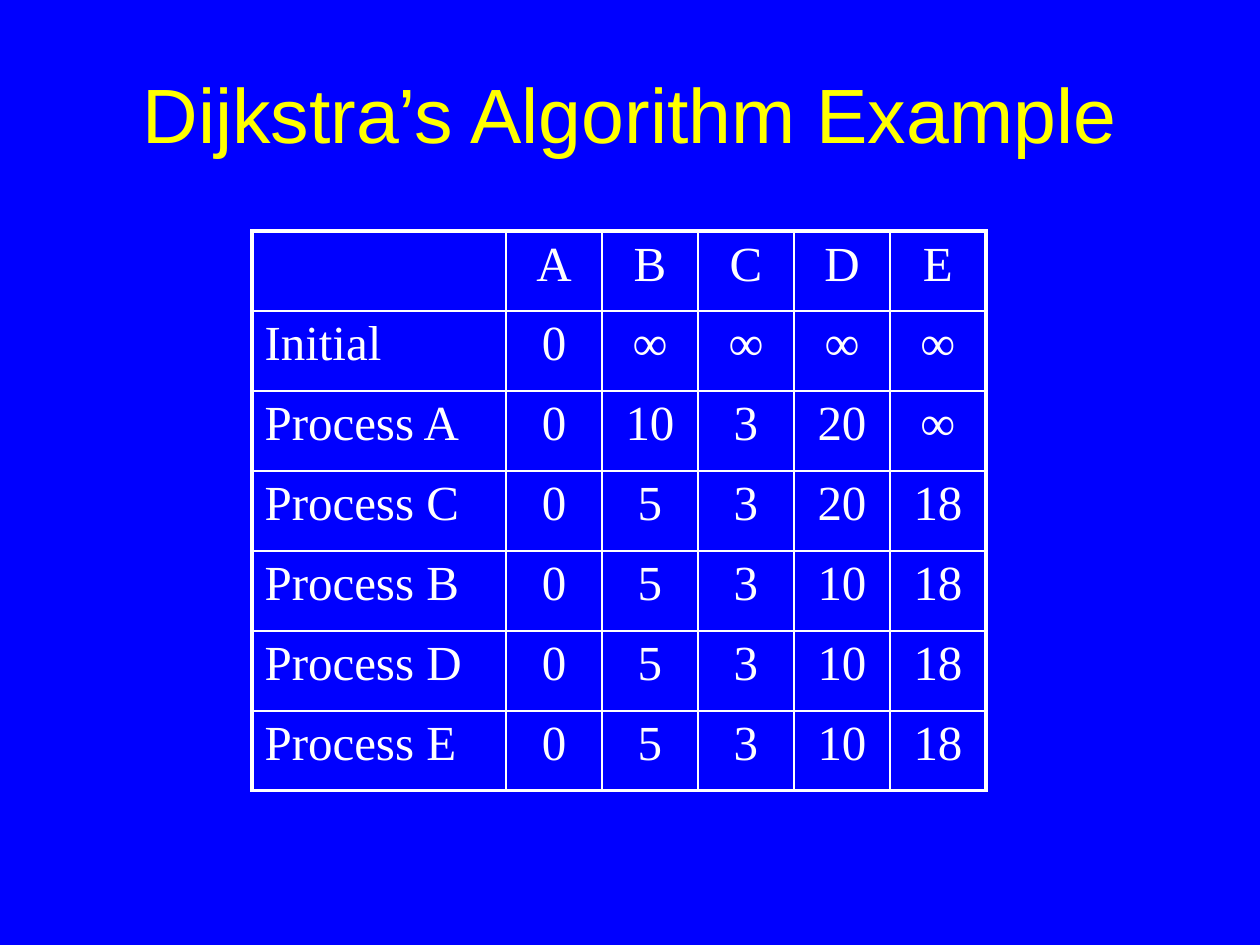
from pptx import Presentation
from pptx.dml.color import RGBColor
from pptx.enum.text import MSO_ANCHOR, PP_ALIGN
from pptx.oxml import parse_xml
from pptx.oxml.ns import nsdecls
from pptx.util import Pt

SCALE = 914400 // 126
BLUE, YELLOW, WHITE = "0000FF", "FFFF00", "FFFFFF"
HEAD = " ABCDE"
STEPS = [
    ("Initial", "0 ∞ ∞ ∞ ∞"),
    ("Process A", "0 10 3 20 ∞"),
    ("Process C", "0 5 3 20 18"),
    ("Process B", "0 5 3 10 18"),
    ("Process D", "0 5 3 10 18"),
    ("Process E", "0 5 3 10 18"),
]


def px(n):
    return n * SCALE


def paint(color):
    return RGBColor.from_string(color)


def write(para, text, font, size, color, align):
    para.alignment = align
    run = para.add_run()
    run.text = text
    run.font.name = font
    run.font.size = Pt(size)
    run.font.color.rgb = paint(color)


def edge(cell, side, width):
    line = parse_xml(
        f'<a:ln{side} {nsdecls("a")} w="{Pt(width)}"><a:solidFill>'
        f'<a:srgbClr val="{WHITE}"/></a:solidFill></a:ln{side}>'
    )
    cell._tc.get_or_add_tcPr().append(line)


def title(slide, box, text):
    shape = slide.shapes.title
    shape.left, shape.top, shape.width, shape.height = map(px, box)
    frame = shape.text_frame
    frame.vertical_anchor = MSO_ANCHOR.MIDDLE
    write(frame.paragraphs[0], text, "Arial", 44, YELLOW, PP_ALIGN.CENTER)


def grid(slide, box, first, rows):
    left, top, width, height = box
    high, wide = len(rows), len(rows[0])
    table = slide.shapes.add_table(high, wide, *map(px, box)).table
    table.first_row = table.horz_banding = False
    for c, col in enumerate(table.columns):
        col.width = px(first if c == 0 else (width - first) // (wide - 1))
    for r, row in enumerate(rows):
        table.rows[r].height = px(height // high)
        for c, text in enumerate(row):
            cell = table.cell(r, c)
            outer = {"L": c == 0, "R": c == wide - 1,
                     "T": r == 0, "B": r == high - 1}
            for side, thick in outer.items():
                edge(cell, side, 2.25 if thick else 1)
            cell.fill.background()
            if text.strip():
                align = PP_ALIGN.CENTER if c else PP_ALIGN.LEFT
                write(cell.text_frame.paragraphs[0], text,
                      "Times New Roman", 28, WHITE, align)


def main():
    deck = Presentation()
    deck.slide_width, deck.slide_height = px(1260), px(945)
    slide = deck.slides.add_slide(deck.slide_layouts[5])
    slide.background.fill.solid()
    slide.background.fill.fore_color.rgb = paint(BLUE)
    title(slide, (63, 50, 1134, 126), "Dijkstra’s Algorithm Example")
    rows = [list(HEAD)] + [[name, *costs.split()] for name, costs in STEPS]
    grid(slide, (252, 231, 734, 560), 254, rows)
    deck.save("out.pptx")


main()
